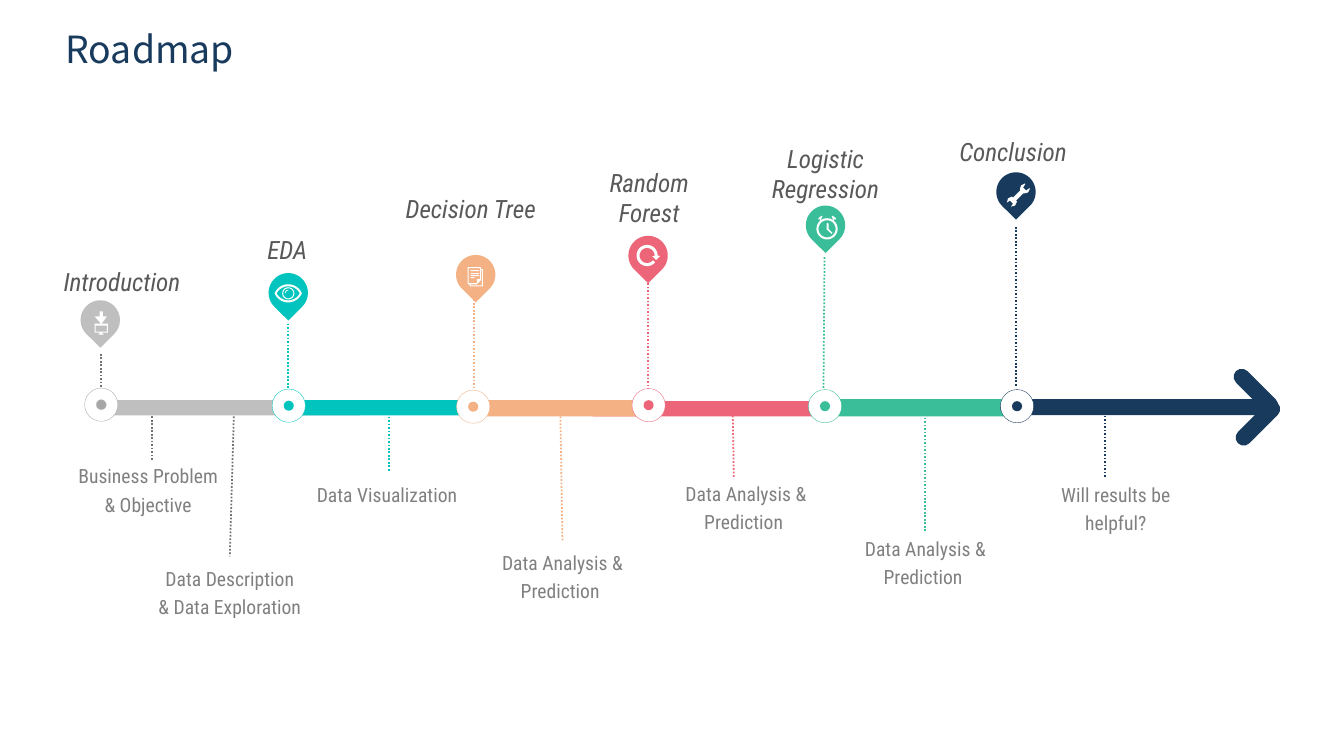
"""Build the roadmap timeline slide on a grid of hundredths of an inch."""
import math
import lxml.etree
import pptx
import pptx.util
import pptx.dml.color
import pptx.enum.dml
import pptx.enum.shapes
import pptx.enum.text
import pptx.oxml.ns

cell = pptx.util.Inches(0.01)
hue = pptx.dml.color.RGBColor.from_string
kind = pptx.enum.shapes.MSO_SHAPE

deck = pptx.Presentation()
deck.slide_width = pptx.util.Inches(40 / 3)
deck.slide_height = pptx.util.Inches(7.5)
slide = deck.slides.add_slide(deck.slide_layouts[5])
shapes = slide.shapes


def ink(shape, fill, edge=None):
    shape.shadow.inherit = False
    shape.fill.solid()
    shape.fill.fore_color.rgb = hue(fill)
    if edge:
        shape.line.color.rgb = hue(edge)
        shape.line.width = pptx.util.Pt(0.25)
    else:
        shape.line.fill.background()


def pen(loops, fill):
    """Fill closed loops made of points (x, y) and arcs (x, y, radius, start, end)."""
    build = None
    for loop in loops:
        dots = []
        for part in loop:
            if len(part) == 2:
                dots.append(part)
                continue
            x, y, size, start, end = part
            for step in range(41):
                turn = math.radians(start + (end - start) * step / 40)
                dots.append((x + size * math.cos(turn), y + size * math.sin(turn)))
        dots = [(x * 100, y * 100) for x, y in dots]
        if build is None:
            build = shapes.build_freeform(*dots[0], scale=cell / 100)
        else:
            build.move_to(*dots[0])
        build.add_line_segments(dots[1:], close=True)
    ink(build.convert_to_shape(), fill)


title = shapes.title
title.left, title.top, title.width, title.height = [n * cell for n in (55, 21, 662, 55)]
frame = title.text_frame
frame.margin_top = frame.margin_bottom = 0
frame.vertical_anchor = pptx.enum.text.MSO_ANCHOR.MIDDLE
para = frame.paragraphs[0]
para.alignment = pptx.enum.text.PP_ALIGN.LEFT
run = para.add_run()
run.text = "Roadmap"
run.font.size = pptx.util.Pt(26.7)
run.font.name = "Noto Sans CJK SC"
run.font.color.rgb = hue("183A5D")

gray, dark, teal, sand = "BFBFBF", "767171", "01C4BE", "F4B183"
rose, green, navy = "ED6579", "3ABE99", "183A5D"

bars = [
    (100, 397, 264, 15, 0, gray),
    (284, 397, 260, 15, 0, teal),
    (581, 398, 233, 15, 0, rose),
    (808, 396, 218, 17, 0, green),
    (992, 396, 263, 16, 0, navy),
    (1218, 380, 56, 16, 45, navy),
    (1220, 412, 56, 16, 315, navy),
    (467, 397, 177, 16, 0, sand),
]
for *box, turn, fill in bars:
    bar = shapes.add_shape(kind.ROUNDED_RECTANGLE, *[n * cell for n in box])
    bar.adjustments[0] = 0.5
    bar.rotation = turn
    ink(bar, fill)

wires = [
    (100, 351, 100, 387, dark),
    (151, 413, 151, 456, dark),
    (232, 413, 228, 552, dark),
    (286, 321, 286, 387, teal),
    (386, 467, 386, 411, teal),
    (470, 290, 470, 389, sand),
    (558, 536, 556, 413, sand),
    (643, 281, 643, 385, rose),
    (728, 473, 727, 411, rose),
    (818, 255, 817, 386, green),
    (918, 527, 918, 412, green),
    (1008, 225, 1008, 383, navy),
    (1096, 473, 1096, 402, navy),
]
for *ends, fill in wires:
    wire = shapes.add_connector(
        pptx.enum.shapes.MSO_CONNECTOR.STRAIGHT, *[n * cell for n in ends])
    wire.line.color.rgb = hue(fill)
    wire.line.width = pptx.util.Pt(1.25)
    wire.line.dash_style = pptx.enum.dml.MSO_LINE.ROUND_DOT
    lxml.etree.SubElement(wire._element.spPr, pptx.oxml.ns.qn("a:effectLst"))

hubs = [
    (100.5, 401.5, "A6A6A6", gray),
    (286.5, 402.5, teal, None),
    (469.5, 403.5, sand, None),
    (643.5, 402, rose, None),
    (818.5, 403, green, None),
    (1009, 403, navy, None),
]
for x, y, fill, edge in hubs:
    for size, tint, rim in ((33, "FFFFFF", fill), (10, fill, edge)):
        box = (x - size / 2, y - size / 2, size, size)
        disc = shapes.add_shape(kind.OVAL, *[int(n * cell) for n in box])
        ink(disc, tint, rim)

pins = [(99.5, 298, gray), (286, 271, teal), (472, 253, sand),
        (643, 234, rose), (819, 204, green), (1008, 171, navy)]
for x, y, fill in pins:
    pen([[(x, y + 19.5, 19.5, 135, 405), (x, y + 47)]], fill)

screen = [
    [(107, 321), (101, 321), (106, 314), (102, 314), (102, 309), (99, 309), (99, 314),
     (94, 314), (100, 321), (94, 321), (94, 330), (99, 330), (98, 332), (103, 332),
     (101, 330), (107, 330)],
    [(106, 329), (95, 329), (95, 323), (106, 323)],
]
eye = [
    [(286, 296.6, 14.6, 202, 338), (286, 285.4, 14.6, 22, 158)],
    [(286, 297, 12.95, 207, 333), (286, 285, 12.95, 27, 153)],
]
iris = [[(286, 291, 6, 0, 360)], [(286, 291, 5, 0, 360)]]
glint = [[(286, 291, 3.5, 180, 270), (286, 291, 2.8, 270, 180)]]
sheet = [[(467, y), (475, y), (475, y + 1), (467, y + 1)] for y in (268, 271, 273)]
sheet += [
    [(467, 275), (471, 275), (471, 276), (467, 276)],
    [(477, 267), (477, 265), (464, 265), (464, 282), (466, 282), (466, 284),
     (479, 284), (479, 267)],
    [(465, 281), (465, 266), (476, 266), (476, 277), (473, 277), (473, 281)],
    [(478, 283), (467, 283), (467, 282), (473, 282), (477, 278), (477, 268), (478, 268)],
]
cycle = [[(649, 254), (647, 254), (651, 258), (655, 254),
          (642, 253.5, 10.5, 0, -320), (642, 253.5, 7.5, -320, 0)]]
clock = [
    [(820.5, 227, 10.5, 310, 590), (813, 217), (812, 218), (812, 216.5), (815, 214),
     (816, 215), (815, 216.5), (820.5, 227, 10.5, 235, 305), (826, 216.5), (825, 215),
     (826, 214), (829.5, 216.5), (829, 218), (828, 217)],
    [(820.5, 227, 8.5, 0, 360)],
    [(822, 227), (822, 222), (821, 221), (820, 222), (820, 227.5), (825, 232), (826, 231)],
]
wrench = [[
    (1021, 187), (1018, 189), (1015, 186), (1017, 183), (1017, 182), (1013, 184),
    (1012, 187), (1012, 189), (1005, 196), (1004, 195), (1000, 197), (999, 201),
    (1002, 199), (1005, 202), (1003, 205), (1007, 204), (1009, 200), (1008, 199),
    (1015, 192), (1016, 192), (1020, 191), (1022, 187)]]
for icon in (screen, eye, iris, glint, sheet, cycle, clock, wrench):
    pen(icon, "FFFFFF")

names = [(40, 258, "Introduction"), (204, 226, "EDA"), (386, 186, "Decision Tree"),
         (563, 160, "Random Forest"), (738, 136, "Logistic Regression"),
         (924, 129, "Conclusion")]
notes = [(66, 450, "Business Problem & Objective"),
         (147, 552, "Data Description & Data Exploration"),
         (303, 468, "Data Visualization"),
         (477, 536, "Data Analysis & Prediction "),
         (659, 467, "Data Analysis & Prediction "),
         (837, 522, "Data Analysis & Prediction "),
         (1026, 468, "Will results be helpful?")]
for rows, high, size, fill, slant, lead in ((names, 42, 18, "595959", True, 1),
                                            (notes, 55, 14, "808080", False, 1.2)):
    for x, y, words in rows:
        box = shapes.add_textbox(x * cell, y * cell, 162 * cell, high * cell)
        frame = box.text_frame
        frame.word_wrap = True
        frame.margin_top = 6 * cell
        para = frame.paragraphs[0]
        para.alignment = pptx.enum.text.PP_ALIGN.CENTER
        para.line_spacing = float(lead)
        run = para.add_run()
        run.text = words
        run.font.size = pptx.util.Pt(size)
        run.font.name = "Roboto Condensed"
        run.font.italic = slant
        run.font.color.rgb = hue(fill)

deck.save("out.pptx")
